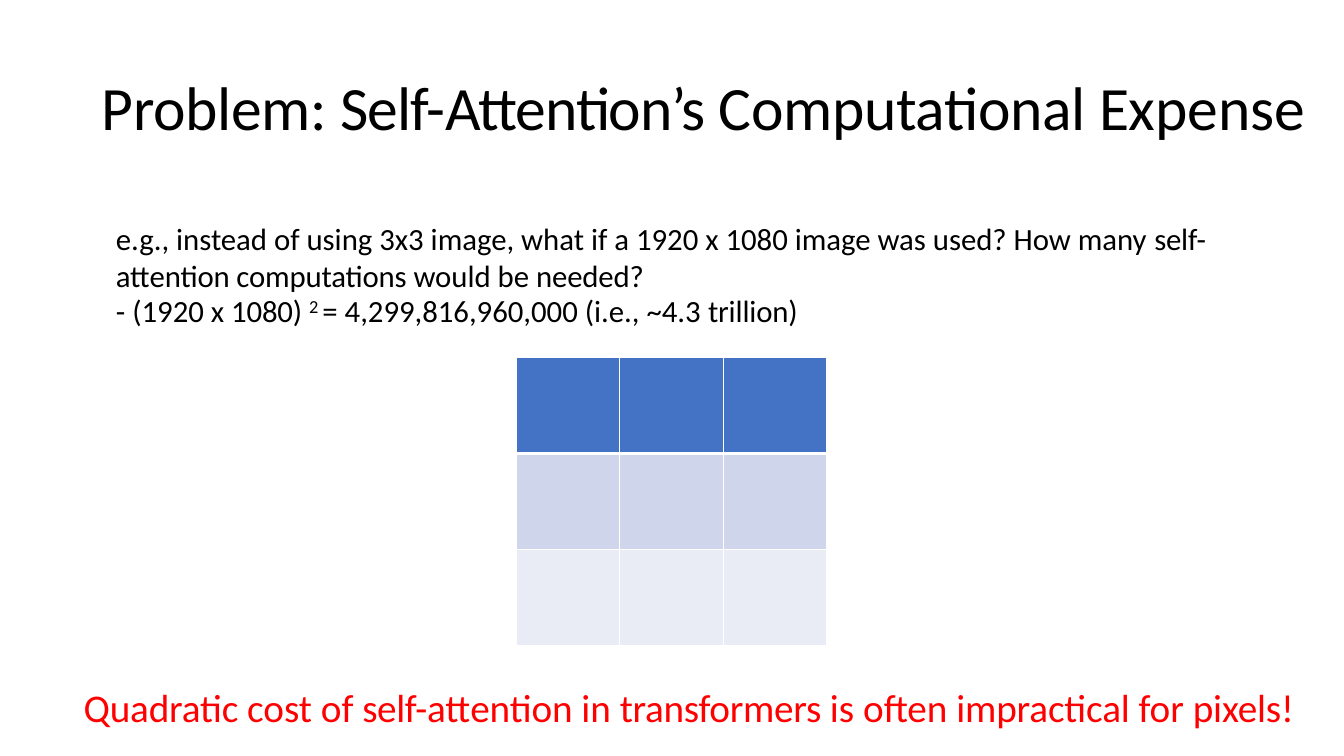
from dataclasses import dataclass

import pptx
import pptx.dml.color
import pptx.enum.text
import pptx.oxml.ns
import pptx.util
from lxml import etree


@dataclass(frozen=True)
class Theme:
    font: str = "Calibri"
    ink: str = "000000"
    alert: str = "FF0000"
    border: str = "FFFFFF"
    row_fills: tuple = ("4472C4", "CFD5EA", "E9EBF5")
    title_size: float = 44
    body_size: float = 22
    exponent_size: float = 22.5
    closing_size: float = 28
    exponent_raise: int = 26  # percent of the type size
    thin: float = 1
    thick: float = 3


THEME = Theme()
WIDTH, HEIGHT = 13.33, 7.5
EXPONENT = "exponent"

# Each run is its text and letter spacing in points
TITLE = [[("Problem: ", -0.3), ("Self-", -0.7), ("Attention’s ", -0.8),
          ("Computational ", -0.3), ("Expense", -0.1)]]
EXAMPLE = [
    [("e.g., instead of using 3x3 image, what if a 1920 x 1080 image was used? How many ", 0),
     ("self- attention computations ", -0.1), ("would be ", 0), ("needed?", -0.1)],
    [("- (1920 x ", 0), ("1080) ", -0.1), ("2 ", EXPONENT),
     ("= 4,299,816,960,000 (i.e., ~4.3 ", 0), ("trillion)", -0.1)],
]
CLOSING = [[("Quadratic ", -0.1), ("cost of ", 0), ("self-", -0.3), ("attention ", -0.1),
            ("in ", 0), ("transformers ", -0.2), ("is often ", 0), ("impractical ", -0.1),
            ("for ", 0), ("pixels!", -0.1)]]


def place(left, top, width, height):
    """Turn shares of the slide into lengths."""
    return [pptx.util.Inches(round(share * side, 2)) for share, side in
            ((left, WIDTH), (top, HEIGHT), (width, WIDTH), (height, HEIGHT))]


def add_span(para, text, spacing):
    span = para.add_run()
    span.text = text
    properties = span.font._element
    if spacing == EXPONENT:
        span.font.size = pptx.util.Pt(THEME.exponent_size)
        properties.set("baseline", str(THEME.exponent_raise * 1000))
    elif spacing:
        properties.set("spc", str(round(spacing * 100)))


def add_text(page, area, paragraphs, size, color, indent=0.01, inset=0.01,
             before=1, line_heights=(None,)):
    box = page.shapes.add_textbox(*place(*area))
    frame = box.text_frame
    frame.word_wrap = True
    frame.auto_size = pptx.enum.text.MSO_AUTO_SIZE.SHAPE_TO_FIT_TEXT
    frame.margin_left = frame.margin_right = frame.margin_bottom = 0
    frame.margin_top = pptx.util.Inches(inset)
    for index, (spans, line_height) in enumerate(zip(paragraphs, line_heights)):
        para = frame.add_paragraph() if index else frame.paragraphs[0]
        para.font.name = THEME.font
        para.font.size = pptx.util.Pt(size)
        para.font.color.rgb = pptx.dml.color.RGBColor.from_string(color)
        para.space_before = pptx.util.Pt(0 if index else before)
        if line_height:
            para.line_spacing = pptx.util.Pt(line_height)
        para._p.get_or_add_pPr().set("marL", str(pptx.util.Inches(indent)))
        for text, spacing in spans:
            add_span(para, text, spacing)


def set_borders(cell, widths):
    """Draw the left, right, top and bottom borders, in that order."""
    properties = cell._tc.get_or_add_tcPr()
    for index, (side, width) in enumerate(zip("LRTB", widths)):
        line = etree.Element(pptx.oxml.ns.qn(f"a:ln{side}"), w=str(pptx.util.Pt(width)))
        fill = etree.SubElement(line, pptx.oxml.ns.qn("a:solidFill"))
        etree.SubElement(fill, pptx.oxml.ns.qn("a:srgbClr"), val=THEME.border)
        properties.insert(index, line)


def add_pixel_grid(page, area, count=3):
    table = page.shapes.add_table(count, count, *place(*area)).table
    for row, color in enumerate(THEME.row_fills):
        above = THEME.thick if row == 1 else THEME.thin
        below = THEME.thick if row == 0 else THEME.thin
        for column in range(count):
            cell = table.cell(row, column)
            cell.fill.solid()
            cell.fill.fore_color.rgb = pptx.dml.color.RGBColor.from_string(color)
            set_borders(cell, (THEME.thin, THEME.thin, above, below))


def main():
    deck = pptx.Presentation()
    deck.slide_width = pptx.util.Inches(WIDTH)
    deck.slide_height = pptx.util.Inches(HEIGHT)
    page = deck.slides.add_slide(deck.slide_layouts[6])

    # Title
    add_text(page, (0.075, 0.089, 0.904, 0.101), TITLE, THEME.title_size, THEME.ink)

    # Worked example
    add_text(page, (0.083, 0.288, 0.819, 0.148), EXAMPLE, THEME.body_size, THEME.ink,
             indent=0.04, inset=0.03, before=2.2, line_heights=(25.9, 25.1))

    # Three by three image
    add_pixel_grid(page, (0.384, 0.473, 0.231, 0.38))

    # Conclusion
    add_text(page, (0.0615, 0.903, 0.912, 0.065), CLOSING, THEME.closing_size, THEME.alert)

    deck.save("out.pptx")


if __name__ == "__main__":
    main()
